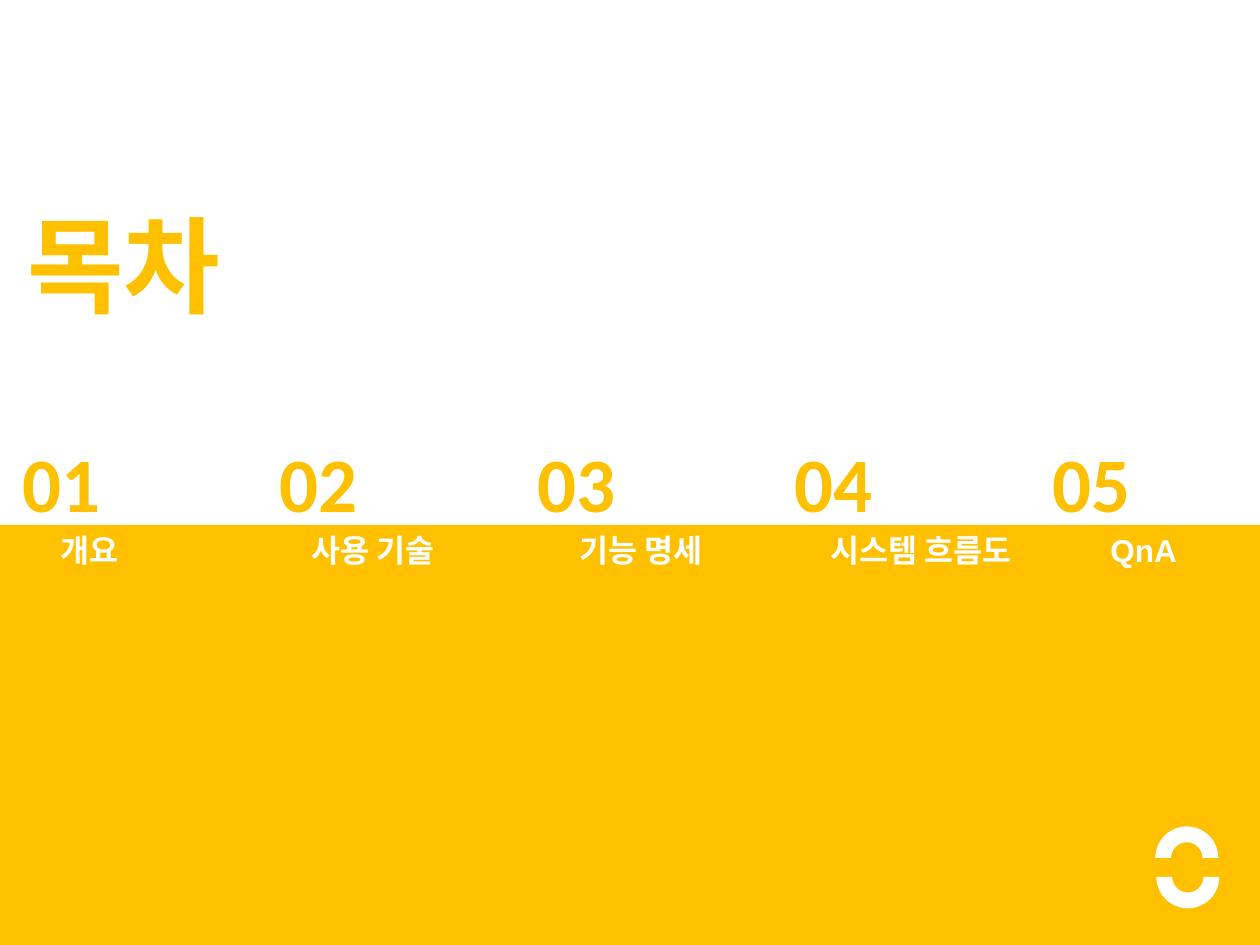
from pptx import Presentation
from pptx import util as u
from pptx.dml.color import RGBColor
from pptx.enum import shapes, text

AMBER = RGBColor(0xFF, 0xC0, 0x00)
WHITE = RGBColor(0xFF, 0xFF, 0xFF)

TITLE = {"name": "Arial", "size": u.Pt(60), "bold": True}
NUMBER = {"name": "Calibri", "size": u.Pt(44), "bold": True}
LABEL = {"name": "Arial", "size": u.Pt(18), "bold": True}

deck = Presentation()
deck.slide_width, deck.slide_height = u.Cm(25.4), u.Cm(19.05)
page = deck.slides.add_slide(deck.slide_layouts[6])


def add_plain_shape(kind, left, top, width, height, color):
    shape = page.shapes.add_shape(kind, u.Cm(left), u.Cm(top), u.Cm(width), u.Cm(height))
    shape.shadow.inherit = False
    shape.fill.solid()
    shape.fill.fore_color.rgb = color
    shape.line.fill.background()
    return shape


def add_text(words, left, top, width, height, style, color, align):
    box = page.shapes.add_textbox(u.Cm(left), u.Cm(top), u.Cm(width), u.Cm(height))
    box.text_frame.word_wrap = True
    box.text_frame.auto_size = text.MSO_AUTO_SIZE.SHAPE_TO_FIT_TEXT
    para = box.text_frame.paragraphs[0]
    para.alignment = align
    span = para.add_run()
    span.text = words
    for key, value in style.items():
        setattr(span.font, key, value)
    span.font.color.rgb = color


# Lower colour band
BAND_TOP = 10.58
add_plain_shape(shapes.MSO_SHAPE.RECTANGLE, 0, BAND_TOP, 25.4, 19.05 - BAND_TOP, AMBER)

# Title
add_text("목차", 0.3, 3.91, 13.6, 2.82, TITLE, AMBER, text.PP_ALIGN.LEFT)

# Contents: evenly spaced numbers above the band edge, labels below it
NUMBER_LEFT, NUMBER_STEP = 0.2, 5.19
entries = [
    ("개요", 0.58, 2.44),
    ("사용 기술", 5.0, 5.05),
    ("기능 명세", 10.39, 5.05),
    ("시스템 흐름도", 16.2, 4.75),
    ("QnA", 20.68, 4.75),
]
for index, (label, left, width) in enumerate(entries):
    add_text(f"{index + 1:02}", NUMBER_LEFT + index * NUMBER_STEP, 8.66, 3.68, 2.13,
             NUMBER, AMBER, text.PP_ALIGN.LEFT)
    add_text(label, left, BAND_TOP, width, 1.02, LABEL, WHITE, text.PP_ALIGN.CENTER)

# Split ring in the corner
for left, top, turn in [(23.29, 16.66, 0), (23.31, 17.04, 180)]:
    arc = add_plain_shape(shapes.MSO_SHAPE.BLOCK_ARC, left, top, 1.27, 1.27, WHITE)
    arc.rotation = turn

deck.save("out.pptx")
